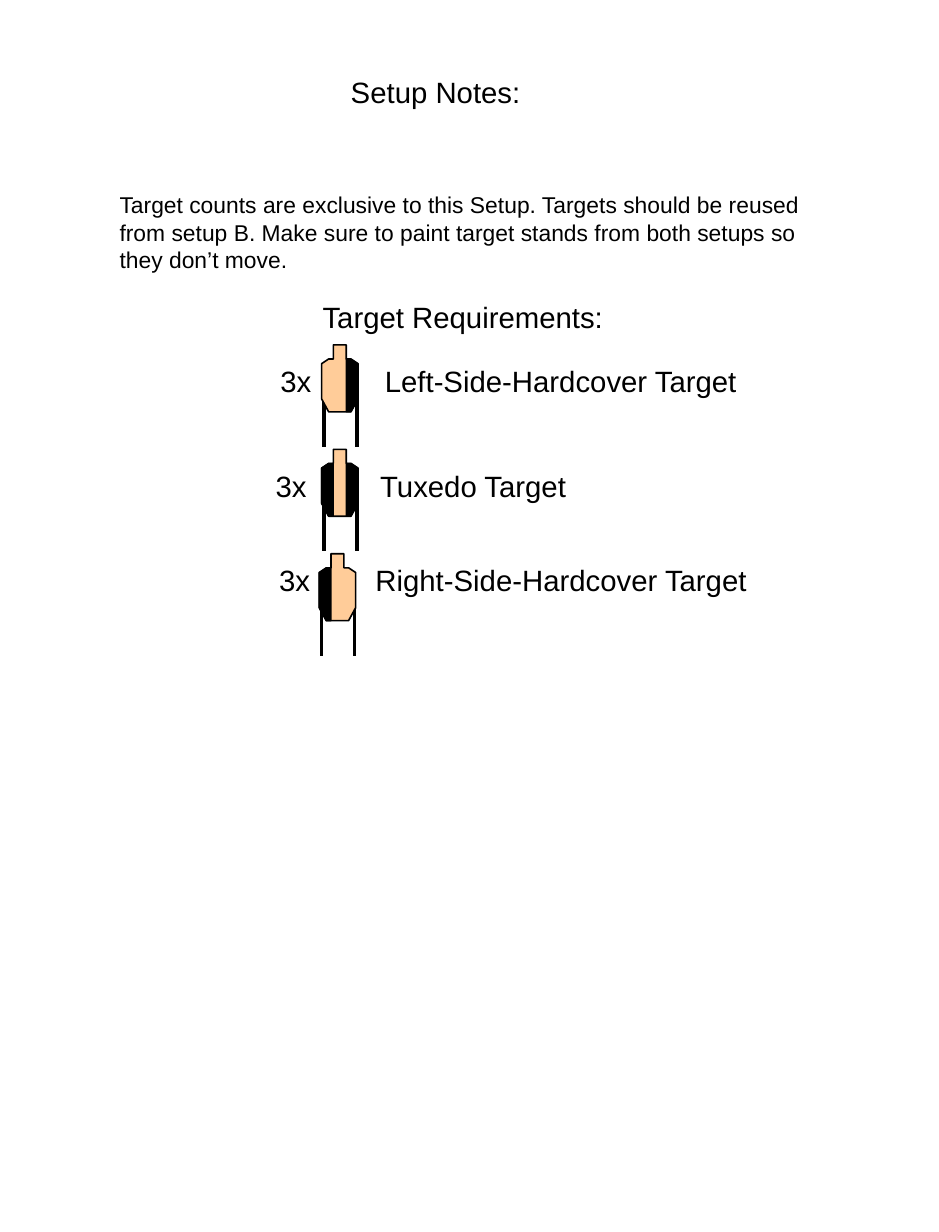
from dataclasses import dataclass
from typing import Optional

from lxml.etree import SubElement
from pptx import Presentation
from pptx.dml.color import RGBColor
from pptx.enum.shapes import MSO_CONNECTOR
from pptx.enum.text import MSO_AUTO_SIZE
from pptx.oxml.ns import qn
from pptx.util import Inches, Pt

CELL = Inches(0.01)  # the page is a grid of 800 columns by 1050 rows
COLS, ROWS = 800, 1050


@dataclass(frozen=True)
class Theme:
    font: str = "Arial"
    ink: RGBColor = RGBColor(0x00, 0x00, 0x00)
    tan: RGBColor = RGBColor(0xFF, 0xCC, 0x99)
    head: float = 18
    body: float = 14
    edge: float = 1
    post: float = 2.25


@dataclass(frozen=True)
class Note:
    text: str
    col: int
    row: int
    wide: int
    high: int = 40
    size: float = Theme.head
    wrap: bool = False
    tab: Optional[int] = None


@dataclass(frozen=True)
class Target:
    col: int
    row: int
    left: bool = False
    right: bool = False


THEME = Theme()
WIDE = 31
# Right half of the board, from the neck down; the left half mirrors it.
SIDE = [(21, 12), (25, 12), (31, 16), (31, 46), (25, 57)]
HALF = [(21, 0), *SIDE]
COVER = [*SIDE, (21, 57)]
POSTS = (2, 30)
POST_TOP, POST_END = 43, 87

NOTES = [
    Note("Setup Notes:", 289, 58, 166),
    Note("Target Requirements:", 265, 250, 270),
    Note("3x\tLeft-Side-Hardcover Target", 229, 305, 412, tab=89),
    Note("3x\tTuxedo Target", 225, 394, 269, tab=89),
    Note("3x\tRight-Side-Hardcover Target", 228, 474, 422, tab=82),
    Note(
        "Target counts are exclusive to this Setup. Targets should be reused "
        "from setup B. Make sure to paint target stands from both setups so "
        "they don’t move.",
        92, 158, 617, 81, Theme.body, True,
    ),
]
TARGETS = [
    Target(274, 294, right=True),
    Target(274, 383, left=True, right=True),
    Target(272, 472, left=True),
]


def flip(points: list) -> list:
    return [(WIDE - x, y) for x, y in points]


def write(slide, note: Note) -> None:
    box = slide.shapes.add_textbox(
        *(n * CELL for n in (note.col, note.row, note.wide, note.high))
    )
    frame = box.text_frame
    frame.word_wrap = note.wrap
    frame.auto_size = MSO_AUTO_SIZE.SHAPE_TO_FIT_TEXT
    para = frame.paragraphs[0]
    if note.tab:
        stops = SubElement(para._p.get_or_add_pPr(), qn("a:tabLst"))
        SubElement(stops, qn("a:tab"), pos=str(note.tab * CELL), algn="l")
    para.text = note.text
    para.font.name = THEME.font
    para.font.size = Pt(note.size)
    para.font.color.rgb = THEME.ink


def trace(group, target: Target, points: list, fill: RGBColor, edge: float) -> None:
    """Draw a closed outline, with points counted from the target's corner."""
    pen = group.shapes.build_freeform(*points[0], scale=CELL)
    pen.add_line_segments(points[1:], close=True)
    shape = pen.convert_to_shape(target.col * CELL, target.row * CELL)
    shape.shadow.inherit = False
    shape.fill.solid()
    shape.fill.fore_color.rgb = fill
    shape.line.color.rgb = THEME.ink
    shape.line.width = Pt(edge)


def stand(group, target: Target) -> None:
    for post in POSTS:
        x = (target.col + post) * CELL
        line = group.shapes.add_connector(
            MSO_CONNECTOR.STRAIGHT,
            x, (target.row + POST_TOP) * CELL,
            x, (target.row + POST_END) * CELL,
        )
        line.line.color.rgb = THEME.ink
        line.line.width = Pt(THEME.post)
        SubElement(line._element.spPr, qn("a:effectLst"))


def draw(slide, target: Target) -> None:
    group = slide.shapes.add_group_shape()
    stand(group, target)
    trace(group, target, HALF + flip(HALF)[::-1], THEME.tan, THEME.edge)
    if target.right:
        trace(group, target, COVER, THEME.ink, 0)
    if target.left:
        trace(group, target, flip(COVER), THEME.ink, 0)


def main() -> None:
    deck = Presentation()
    deck.slide_width, deck.slide_height = COLS * CELL, ROWS * CELL
    slide = deck.slides.add_slide(deck.slide_layouts[6])
    for note in NOTES:
        write(slide, note)
    for target in TARGETS:
        draw(slide, target)
    deck.save("out.pptx")


if __name__ == "__main__":
    main()
